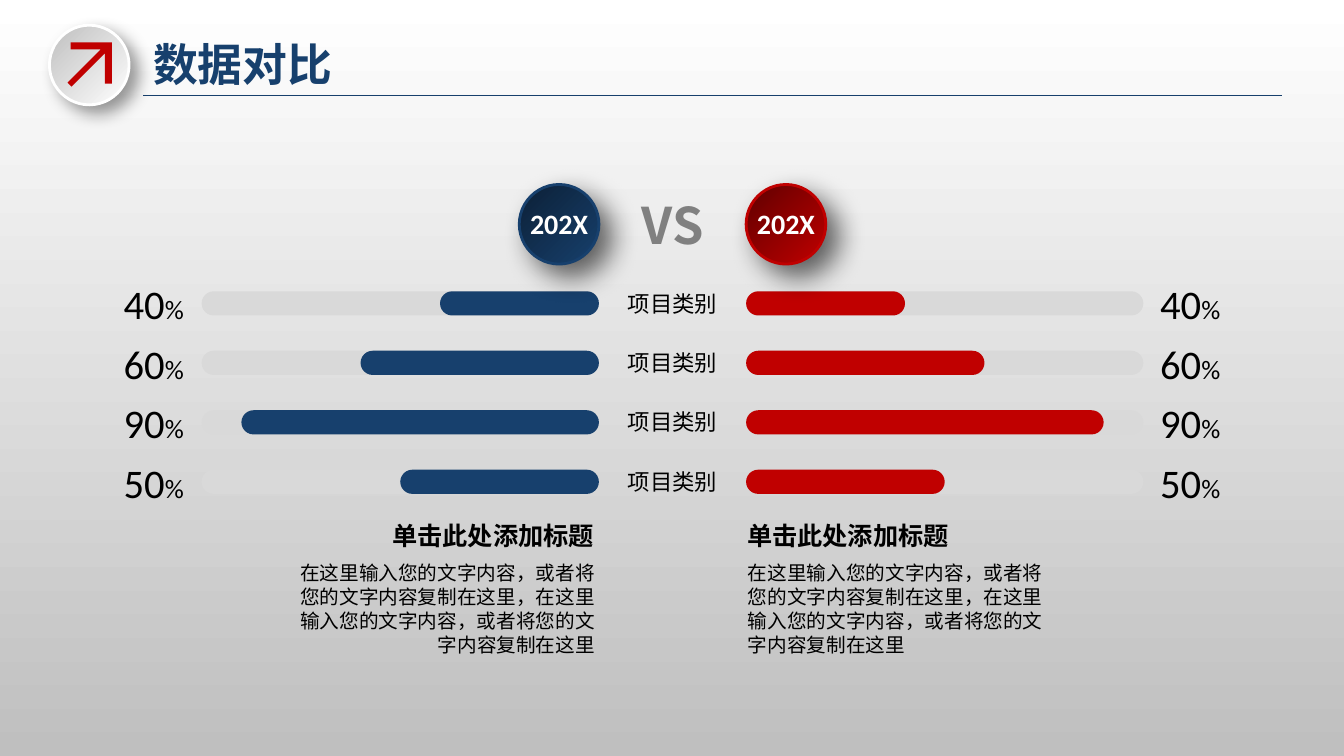
"""Build a slide that compares four categories over two years with mirrored bars."""
from lxml import etree
from pptx import Presentation, util as u
from pptx.dml.color import RGBColor
from pptx.enum import shapes as sh, text as tx
from pptx.oxml import parse_xml
from pptx.oxml.ns import nsdecls, qn

NAVY, RED, BLACK, WHITE, SILVER = "17406D", "C00000", "000000", "FFFFFF", "BFBFBF"
CJK, LATIN = "Noto Sans CJK SC", "Calibri"
LEFT, CENTER, RIGHT = tx.PP_ALIGN.LEFT, tx.PP_ALIGN.CENTER, tx.PP_ALIGN.RIGHT


def paint(fill, *colors, angle=135):
    """Fill with one colour, or with a gradient between two."""
    if len(colors) == 1:
        fill.solid()
        fill.fore_color.rgb = RGBColor.from_string(colors[0])
        return
    fill.gradient()
    fill.gradient_angle = angle
    for stop, color in zip(fill.gradient_stops, colors):
        stop.color.rgb = RGBColor.from_string(color)


def write(box, runs, font=CJK, color=BLACK, bold=False, align=LEFT,
          inset=True, wrap=True, anchor=tx.MSO_ANCHOR.TOP):
    """Add a text box made of (text, size) runs."""
    frame = slide.shapes.add_textbox(*map(u.Inches, box)).text_frame
    frame.word_wrap = wrap
    frame.vertical_anchor = anchor
    if not inset:
        frame.margin_left = frame.margin_right = frame.margin_top = frame.margin_bottom = 0
    paragraph = frame.paragraphs[0]
    paragraph.alignment = align
    if font == CJK:
        paragraph.line_spacing = u.Pt(round(runs[0][1] * 1.22, 1))
    for words, size in runs:
        run = paragraph.add_run()
        run.text = words
        run.font.size = u.Pt(size)
        run.font.bold = bold
        run.font.name = font
        paint(run.font.fill, color)
        etree.SubElement(run.font._element, qn("a:ea"), typeface=font)


prs = Presentation()
prs.slide_width, prs.slide_height = u.Inches(13.33), u.Inches(7.5)
slide = prs.slides.add_slide(prs.slide_layouts[6])
paint(slide.background.fill, SILVER, WHITE, angle=90)

write((1.42, 0.31, 5.98, 0.64), [("数据对比", 32)], color=NAVY, bold=True)
rule = slide.shapes.add_connector(
    sh.MSO_CONNECTOR.STRAIGHT, *map(u.Inches, (1.42, 0.95, 12.72, 0.95)))
paint(rule.line.fill, NAVY)
rule.line.width = u.Pt(1)
etree.SubElement(rule._element.spPr, qn("a:effectLst"))

TRACK, BAR_HEIGHT, ROW_STEP = 3.94, 0.24, 0.59
LEFT_TRACK, RIGHT_TRACK = 2, 7.4
for row, percent in enumerate((40, 60, 90, 50)):
    top = 2.89 + row * ROW_STEP
    length = TRACK * percent / 100
    for left, width, color in (
        (LEFT_TRACK, TRACK, "D9D9D9"),
        (LEFT_TRACK + TRACK - length, length, NAVY),
        (RIGHT_TRACK, TRACK, "D9D9D9"),
        (RIGHT_TRACK, length, RED),
    ):
        bar = slide.shapes.add_shape(
            sh.MSO_SHAPE.ROUNDED_RECTANGLE, *map(u.Inches, (left, top, width, BAR_HEIGHT)))
        bar.adjustments[0] = 0.5
        bar.shadow.inherit = False
        paint(bar.fill, color)
        bar.line.fill.background()
    write((6.12, top - 0.07, 1.1, 0.37), [("项目类别", 16)], align=CENTER, wrap=False)
    for left in (1, 11.28):
        write((left, top - 0.07, 1.05, 0.38), [(str(percent), 29), ("%", 19)], LATIN,
              align=CENTER, inset=False, anchor=tx.MSO_ANCHOR.MIDDLE)

for heading_left, body_left, align in ((3.87, 2.85, RIGHT), (7.41, 7.32, LEFT)):
    write((heading_left, 5.16, 2.02, 0.3), [("单击此处添加标题", 18)], bold=True,
          align=align, inset=False, wrap=False)
    write((body_left, 5.51, 3.15, 1.04),
          [("在这里输入您的文字内容，或者将您的文字内容复制在这里，"
            "在这里输入您的文字内容，或者将您的文字内容复制在这里", 14)], align=align)

for left, top, light, dark, opacity, blur, distance, year in (
    (0.49, 0.25, WHITE, SILVER, 40, 12, 8, ""),
    (5.15, 1.83, NAVY, "0C2036", 60, 20, 12, "202X"),
    (7.4, 1.83, RED, "600000", 60, 20, 12, "202X"),
):
    disc = slide.shapes.add_shape(
        sh.MSO_SHAPE.OVAL, *map(u.Inches, (left, top, 0.79, 0.79)))
    paint(disc.fill, light, dark)
    paint(disc.line.fill, light)
    disc.line.width = u.Pt(2)
    disc._element.spPr.append(parse_xml(
        f'<a:effectLst {nsdecls("a")}><a:outerShdw blurRad="{u.Pt(blur)}" '
        f'dist="{u.Pt(distance)}" dir="2700000" algn="tl" rotWithShape="0">'
        f'<a:srgbClr val="{BLACK}"><a:alpha val="{opacity * 1000}"/></a:srgbClr>'
        '</a:outerShdw></a:effectLst>'))
    if year:
        write((left + 0.1, 2.05, 0.59, 0.34), [(year, 20)], LATIN, WHITE, True,
              CENTER, inset=False, wrap=False)
write((6.34, 1.92, 0.66, 0.61), [("VS", 36)], color="808080", bold=True,
      align=CENTER, inset=False, wrap=False)

outline = slide.shapes.build_freeform(104, 83, scale=u.Inches(0.01))
outline.add_line_segments(
    [(104, 53), (71, 86), (67, 82), (100, 49), (70, 49), (70, 42), (111, 42), (111, 83)])
arrow = outline.convert_to_shape()
arrow.shadow.inherit = False
paint(arrow.fill, RED)
arrow.line.fill.background()

prs.save("out.pptx")
